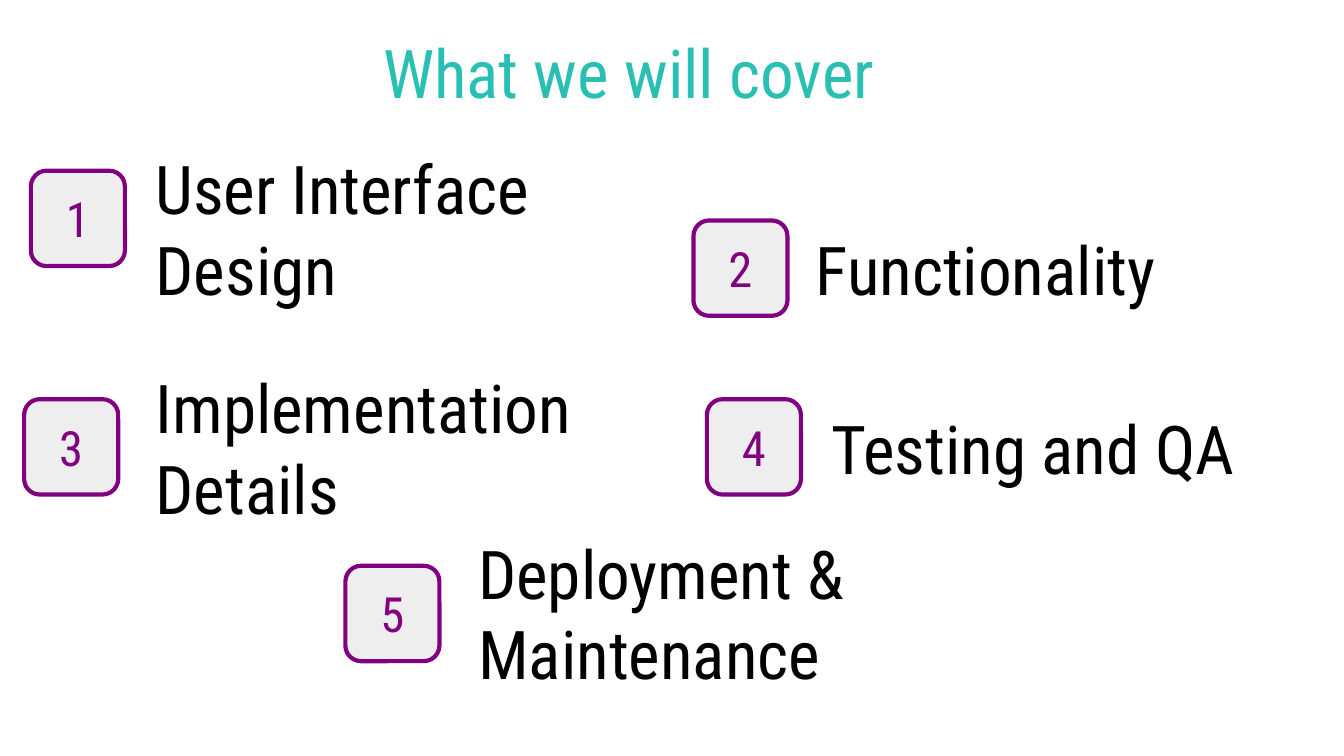
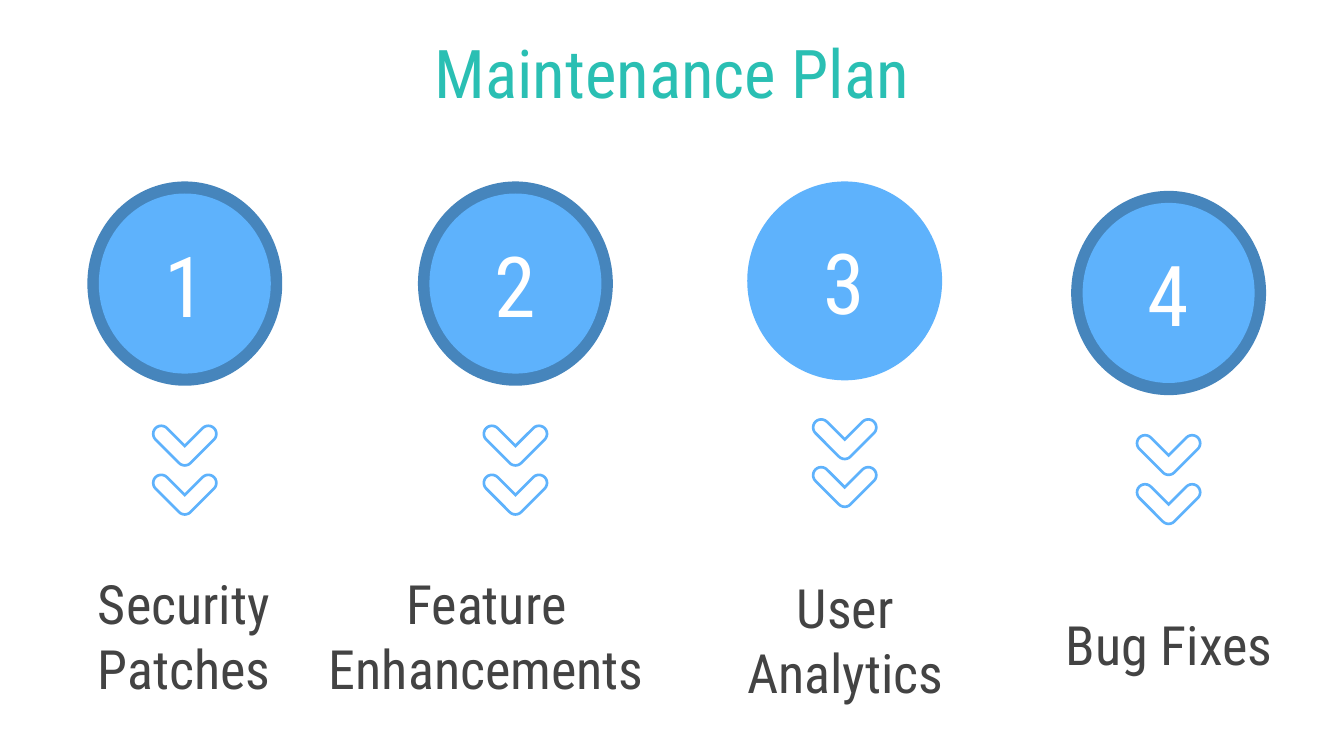
import math

from pptx import Presentation
from pptx import util as u
from pptx.dml.color import RGBColor
from pptx.enum import shapes, text

COLORS = {
    "teal": "2ABFB3",
    "black": "000000",
    "purple": "800080",
    "pale": "EEEEEE",
    "sky": "5EB2FC",
    "steel": "4685BC",
    "white": "FFFFFF",
    "gray": "434343",
}
FONT = "Roboto Condensed"
COLUMNS = 100
LEFT, CENTER = text.PP_ALIGN.LEFT, text.PP_ALIGN.CENTER
ROUNDED, OVAL = shapes.MSO_SHAPE.ROUNDED_RECTANGLE, shapes.MSO_SHAPE.OVAL

TOPICS = [
    ("User Interface Design", (2.3, 12.7), (10.6, 9.5, 35.4, 15)),
    ("Functionality", (51.6, 16.4), (59.7, 14.7, 40.3, 10.6)),
    ("Implementation Details", (1.8, 29.7), (10.6, 26.2, 37.9, 14.1)),
    ("Testing and QA", (52.6, 29.7), (60.9, 28.8, 40.3, 9)),
    ("Deployment & Maintenance", (25.7, 42.1), (34.6, 40.3, 45, 10.6)),
]
TASKS = [
    (["Security Patches"], (6.5, 13.5, 14.5, 15.2), "steel", (3.1, 42.4, 21.2, 9.7)),
    (["Feature Enhancements"], (31.1, 13.5, 14.5, 15.2), "steel", (23.4, 42.4, 25.6, 9.7)),
    (["User", "Analytics"], (55.6, 13.5, 14.5, 14.8), "sky", (52.3, 41.7, 21.2, 11.8)),
    (["Bug Fixes"], (79.7, 14.2, 14.5, 15.2), "steel", (76.4, 43.1, 21.2, 9.7)),
]


def chevron_outline(left, top, radius):
    points = [(left + 2.45, top + 2.45 - radius * math.sqrt(2))]
    for x, y, first, last in [(0.7, 0.7, -45, -225), (2.45, 2.45, 135, 45), (4.2, 0.7, 45, -135)]:
        for degrees in range(first, last - 1, -15):
            angle = math.radians(degrees)
            points.append((left + x + radius * math.cos(angle), top + y + radius * math.sin(angle)))
    return points


class Deck:
    def __init__(self):
        self.deck = Presentation()
        self.deck.slide_width = u.Inches(10)
        self.deck.slide_height = u.Inches(10) * 9 // 16
        self.cell = self.deck.slide_width // COLUMNS
        self.page = None

    def grid(self, *cells):
        return [round(cell * self.cell) for cell in cells]

    def color(self, name):
        return RGBColor.from_string(COLORS[name])

    def set_text(self, box, lines, size, color, align):
        frame = box.text_frame
        frame.word_wrap = True
        frame.auto_size = text.MSO_AUTO_SIZE.NONE
        frame.vertical_anchor = text.MSO_ANCHOR.MIDDLE
        frame.margin_left = frame.margin_right = u.Inches(0.1)
        frame.margin_top = frame.margin_bottom = u.Inches(0.1)
        frame.text = "\n".join(lines)
        for para in frame.paragraphs:
            para.alignment = align
            para.font.name = FONT
            para.font.size = u.Pt(size)
            para.font.color.rgb = self.color(color)

    def add_page(self, title, area, align):
        self.page = self.deck.slides.add_slide(self.deck.slide_layouts[5])
        box = self.page.shapes.title
        box.left, box.top, box.width, box.height = self.grid(*area)
        self.set_text(box, [title], 36, "teal", align)

    def add_label(self, lines, area, size, color, align):
        box = self.page.shapes.add_textbox(*self.grid(*area))
        self.set_text(box, lines, size, color, align)

    def paint(self, shape, fill, line=None):
        shape.shadow.inherit = False
        shape.fill.solid()
        shape.fill.fore_color.rgb = self.color(fill)
        if line:
            shape.line.color.rgb = self.color(line)
            shape.line.width = u.Pt(2.25)
        else:
            shape.line.fill.background()

    def add_shape(self, kind, area, fill, line=None):
        shape = self.page.shapes.add_shape(kind, *self.grid(*area))
        self.paint(shape, fill, line)
        return shape

    def add_chevron(self, left, top):
        outer = [self.grid(*point) for point in chevron_outline(left, top, 0.7)]
        inner = [self.grid(*point) for point in reversed(chevron_outline(left, top, 0.5))]
        builder = self.page.shapes.build_freeform(*outer[0])
        builder.add_line_segments(outer[1:], close=True)
        builder.move_to(*inner[0])
        builder.add_line_segments(inner[1:], close=True)
        self.paint(builder.convert_to_shape(), "sky")

    def add_topic(self, number, name, corner, area):
        self.add_label([name], area, 36, "black", LEFT)
        badge = self.add_shape(ROUNDED, (*corner, 7, 7.1), "pale", "purple")
        self.set_text(badge, [str(number)], 26, "purple", CENTER)

    def add_task(self, number, lines, ring, ring_color, area):
        left, top, width, height = ring
        for share in (1.19, 1.43):
            self.add_chevron(left + width / 2 - 2.45, top + height * share)
        self.add_shape(OVAL, ring, ring_color)
        disc = self.add_shape(OVAL, (left + 0.85, top + 0.9, width - 1.7, height - 1.8), "sky")
        self.set_text(disc, [str(number)], 45, "white", CENTER)
        self.add_label(lines, area, 29, "gray", CENTER)


def main():
    deck = Deck()
    deck.add_page("What we will cover", (27.5, 0, 45, 10.6), LEFT)
    for number, topic in enumerate(TOPICS, 1):
        deck.add_topic(number, *topic)
    deck.add_page("Maintenance Plan", (19, 0, 62, 10.6), CENTER)
    for number, task in enumerate(TASKS, 1):
        deck.add_task(number, *task)
    deck.deck.save("out.pptx")


if __name__ == "__main__":
    main()
